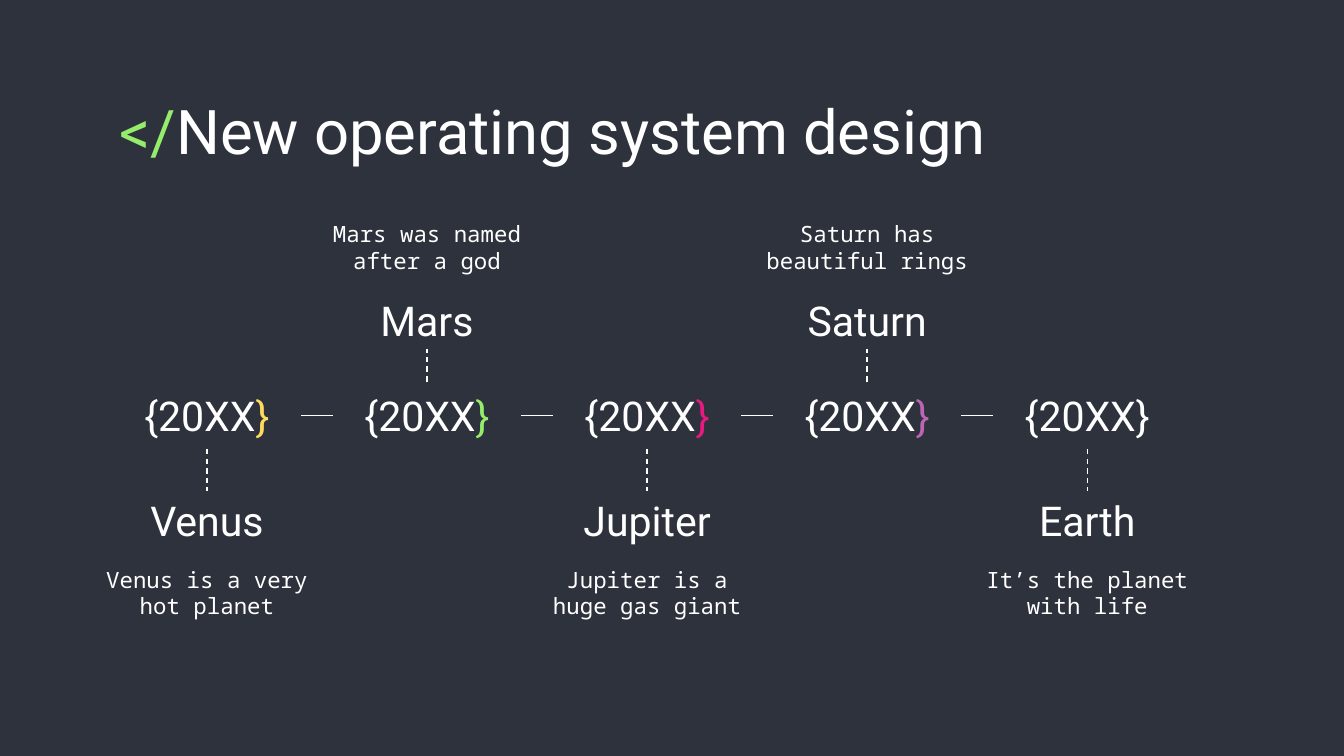
"""Build a five-step planet timeline slide."""
from dataclasses import dataclass

from lxml.etree import SubElement
from pptx import Presentation
from pptx.dml.color import RGBColor
from pptx.enum.dml import MSO_LINE
from pptx.enum.shapes import MSO_CONNECTOR
from pptx.enum.text import MSO_ANCHOR, PP_ALIGN
from pptx.oxml.ns import qn
from pptx.util import Inches, Pt


@dataclass(frozen=True)
class Theme:
    background: str = "2D323C"
    white: str = "FFFFFF"
    yellow: str = "FFDB5D"
    green: str = "94EE6B"
    pink: str = "E81981"
    purple: str = "BD64B5"
    heading_font: str = "Roboto"
    body_font: str = "Noto Sans Mono"
    title_size: int = 33
    heading_size: int = 22
    body_size: int = 12
    line_width: float = 0.75


class TimelineSlide:
    def __init__(self, page, theme):
        self.page = page
        self.theme = theme
        fill = page.background.fill
        fill.solid()
        fill.fore_color.rgb = RGBColor.from_string(theme.background)

    def text(self, parent, position, spans, size, font,
             anchor=MSO_ANCHOR.TOP, align=PP_ALIGN.CENTER):
        box = parent.shapes.add_textbox(*map(Inches, position))
        frame = box.text_frame
        frame.word_wrap = True
        frame.vertical_anchor = anchor
        frame.margin_left = frame.margin_right = Inches(0.1)
        frame.margin_top = frame.margin_bottom = Inches(0.1)
        para = frame.paragraphs[0]
        para.alignment = align
        for wording, color in spans:
            span = para.add_run()
            span.text = wording
            span.font.name = font
            span.font.size = Pt(size)
            span.font.color.rgb = RGBColor.from_string(color)

    def title(self, spans):
        self.text(self.page, (0.79, 0.59, 8.43, 0.63), spans,
                  self.theme.title_size, self.theme.heading_font,
                  align=PP_ALIGN.LEFT)

    def line(self, start, end, dashed=False):
        connector = self.page.shapes.add_connector(
            MSO_CONNECTOR.ELBOW, *map(Inches, start + end))
        connector.line.width = Pt(self.theme.line_width)
        connector.line.color.rgb = RGBColor.from_string(self.theme.white)
        if dashed:
            connector.line.dash_style = MSO_LINE.DASH
        SubElement(connector.element.spPr, qn("a:effectLst"))

    def milestone(self, center, name, description, date, above):
        theme = self.theme
        group = self.page.shapes.add_group_shape()
        left, width, height = center - 0.87, 1.74, 0.5
        name_top, description_top = (2.1, 1.64) if above else (3.65, 4.11)
        name_anchor, description_anchor = MSO_ANCHOR.BOTTOM, MSO_ANCHOR.TOP
        if above:
            name_anchor, description_anchor = description_anchor, name_anchor
        self.text(group, (left, name_top, width, height),
                  [(name, theme.white)], theme.heading_size,
                  theme.heading_font, name_anchor)
        self.text(group, (left, description_top, width, height),
                  [(description, theme.white)], theme.body_size,
                  theme.body_font, description_anchor)
        self.text(group, (center - 0.7, 2.84, 1.4, height), date,
                  theme.heading_size, theme.heading_font, MSO_ANCHOR.MIDDLE)
        start, end = (2.84, 2.6) if above else (3.34, 3.65)
        self.line((center, start), (center, end), dashed=True)


def main():
    theme = Theme()
    deck = Presentation()
    deck.slide_width = Inches(10)
    deck.slide_height = deck.slide_width * 9 // 16
    page = deck.slides.add_slide(deck.slide_layouts[6])
    slide = TimelineSlide(page, theme)
    slide.title([("</", theme.green),
                 ("New operating system design", theme.white)])

    planets = [
        ("Venus", "Venus is a very hot planet", theme.yellow),
        ("Mars", "Mars was named after a god", theme.green),
        ("Jupiter", "Jupiter is a huge gas giant", theme.pink),
        ("Saturn", "Saturn has beautiful rings", theme.purple),
        ("Earth", "It’s the planet with life", theme.white),
    ]
    first_center, last_center, half_date, axis = 1.54, 8.09, 0.7, 3.09
    step = (last_center - first_center) / (len(planets) - 1)
    for index, (name, description, color) in enumerate(planets):
        center = first_center + index * step
        date = [("{20XX", theme.white), ("}", color)]
        if color == theme.white:
            date = [("{20XX}", color)]
        slide.milestone(center, name, description, date, index % 2 == 1)
        if index:
            slide.line((center - step + half_date, axis),
                       (center - half_date, axis))

    deck.save("out.pptx")


if __name__ == "__main__":
    main()
